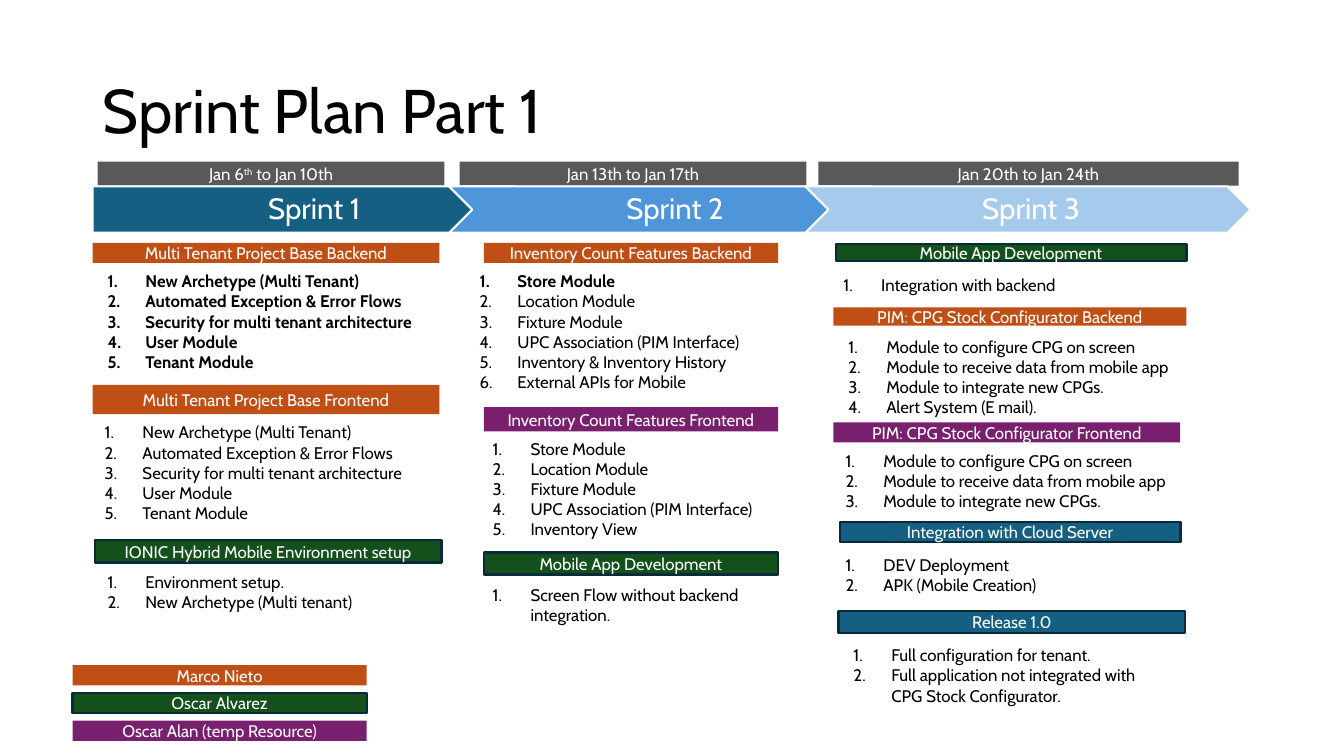
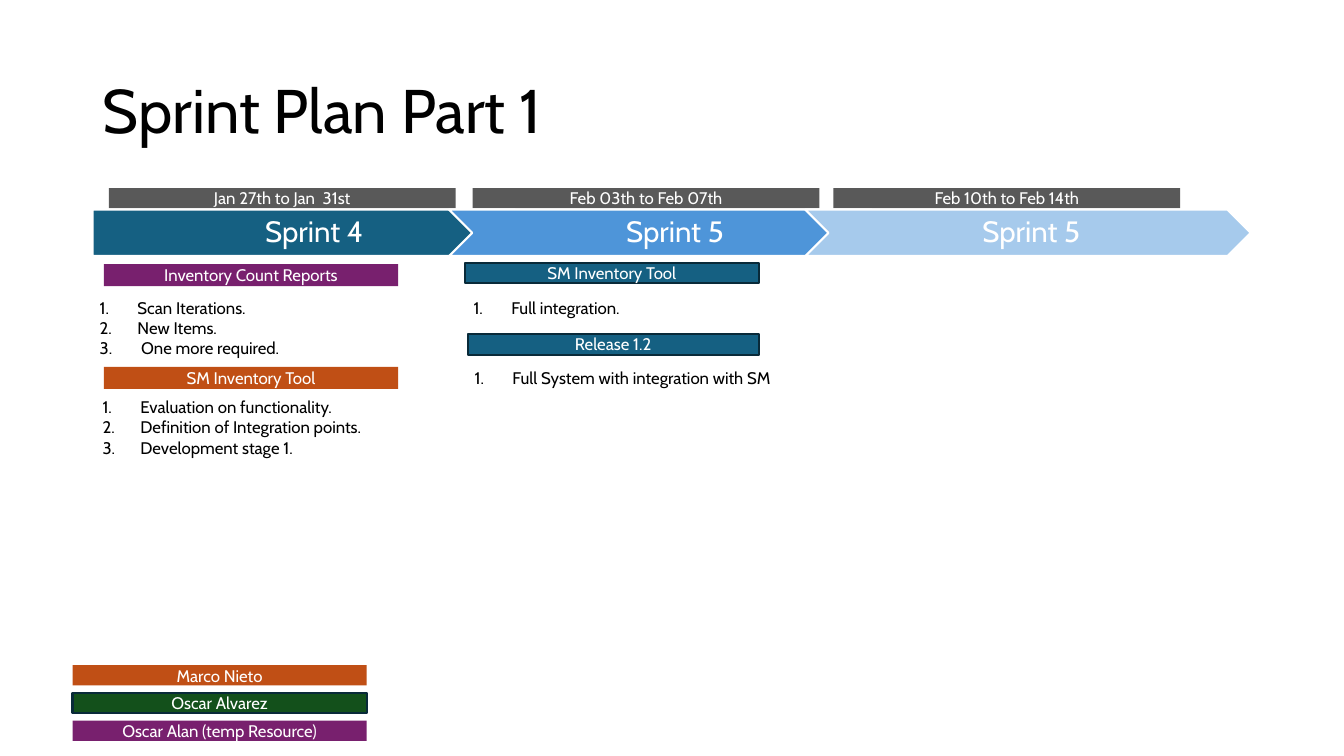
from pptx import Presentation
from pptx import util as u
from pptx.dml.color import RGBColor
from pptx.enum import shapes, text
from pptx.oxml.ns import qn
from lxml import etree

Pt = u.Pt
BAR, HALF_BAR = 247.7, 210.2  # usual bar widths
WIDE, NARROW = 268, 234.7     # usual list widths


def color(hex_code):
    return RGBColor.from_string(hex_code)


class SprintDeck:
    FONT = "Cabin"
    BLACK, WHITE = "000000", "FFFFFF"
    OUTLINE = "092A39"
    FILLS = {"marco": "C04F15", "oscar": "13501B", "alan": "78206E",
             "team": "156082", "date": "595959"}
    OUTLINED = {"oscar", "team"}
    ARROW_FILLS = ("156082", "4E95D9", "A6CAEC")
    ARROW_LEFT, ARROW_STEP, ARROW_WIDTH, ARROW_HEIGHT = 66.2, 254.5, 318.2, 33.1
    INDENT, LINE = 27, 14.5
    LEGEND = (("marco", "Marco Nieto"), ("oscar", "Oscar Alvarez"),
              ("alan", "Oscar Alan (temp Resource)"))

    def __init__(self):
        self.deck = Presentation()
        self.deck.slide_width, self.deck.slide_height = Pt(960), Pt(540)
        self.page = None

    def new_page(self, title):
        self.page = self.deck.slides.add_slide(self.deck.slide_layouts[5])
        box = self.page.shapes.title
        box.left, box.top, box.width, box.height = Pt(66), Pt(29), Pt(828), Pt(104)
        frame = box.text_frame
        frame.text = title
        frame.auto_size = text.MSO_AUTO_SIZE.NONE
        frame.vertical_anchor = text.MSO_ANCHOR.MIDDLE
        para = frame.paragraphs[0]
        para.alignment, para.line_spacing = text.PP_ALIGN.LEFT, 0.9
        self.style(para, 44, self.BLACK)

    def style(self, para, size, hex_code, bold=False):
        font = para.font
        font.name, font.size, font.bold = self.FONT, Pt(size), bold
        font.color.rgb = color(hex_code)

    def block_shape(self, kind, left, top, width, height, fill, line=None):
        box = self.page.shapes.add_shape(kind, Pt(left), Pt(top), Pt(width), Pt(height))
        box.shadow.inherit = False
        box.fill.solid()
        box.fill.fore_color.rgb = color(fill)
        if line:
            box.line.color.rgb = color(line)
            box.line.width = Pt(1.5)
        else:
            box.line.fill.background()
        return box

    def bar(self, kind, spans, left, top, width, height):
        """Add a labelled bar; spans is a string, or parts whose every second one is raised."""
        box = self.block_shape(shapes.MSO_SHAPE.RECTANGLE, left, top, width, height,
                               self.FILLS[kind], self.OUTLINE if kind in self.OUTLINED else None)
        para = box.text_frame.paragraphs[0]
        para.alignment = text.PP_ALIGN.CENTER
        self.style(para, 12, self.WHITE)
        for index, part in enumerate([spans] if isinstance(spans, str) else spans):
            span = para.add_run()
            span.text = part
            if index % 2:
                span._r.get_or_add_rPr().set("baseline", "30000")

    def arrows(self, top, labels):
        for index, label in enumerate(labels):
            kind = shapes.MSO_SHAPE.CHEVRON if index else shapes.MSO_SHAPE.PENTAGON
            box = self.block_shape(kind, self.ARROW_LEFT + index * self.ARROW_STEP, top,
                                   self.ARROW_WIDTH, self.ARROW_HEIGHT,
                                   self.ARROW_FILLS[index], self.WHITE)
            frame = box.text_frame
            frame.margin_left, frame.margin_right = Pt(6.5 if index else 8.5), Pt(2)
            frame.margin_top = frame.margin_bottom = Pt(4)
            frame.text = label
            para = frame.paragraphs[0]
            para.alignment, para.line_spacing = text.PP_ALIGN.CENTER, 0.9
            self.style(para, 21, self.WHITE)

    def numbered_list(self, items, left, top, width, bold_count=0):
        """Add a numbered list whose first bold_count items are bold."""
        height = 7.2 + self.LINE * len(items)
        box = self.page.shapes.add_textbox(Pt(left), Pt(top), Pt(width), Pt(height))
        frame = box.text_frame
        frame.word_wrap = True
        frame.auto_size = text.MSO_AUTO_SIZE.SHAPE_TO_FIT_TEXT
        for index, item in enumerate(items):
            para = frame.add_paragraph() if index else frame.paragraphs[0]
            para.text = item
            props = para._p.get_or_add_pPr()
            props.set("marL", str(Pt(self.INDENT)))
            props.set("indent", str(-Pt(self.INDENT)))
            etree.SubElement(props, qn("a:buAutoNum")).set("type", "arabicPeriod")
            self.style(para, 12, self.BLACK, index < bold_count)

    def legend(self):
        for index, (owner, name) in enumerate(self.LEGEND):
            self.bar(owner, name, 51.8, 475.2 + index * 19.8, HALF_BAR, 14.4)

    def sprint_page(self, plan):
        self.new_page("Sprint Plan Part 1")
        for label, left, width in plan["dates"]:
            self.bar("date", label, left, plan["date_top"], width, plan["date_height"])
        self.arrows(plan["arrow_top"], plan["sprints"])
        for owner, heading, bar_place, items, list_place in plan["blocks"]:
            self.bar(owner, heading, *bar_place)
            self.numbered_list(items, *list_place)
        self.legend()


BASE_MODULES = ("New Archetype (Multi Tenant)", "Automated Exception & Error Flows",
                "Security for multi tenant architecture", "User Module", "Tenant Module")
COUNT_MODULES = ("Store Module", "Location Module", "Fixture Module",
                 "UPC Association (PIM Interface)")
CPG_MODULES = ("Module to configure CPG on screen", "Module to receive data from mobile app",
               "Module to integrate new CPGs.")

# Block: owner, heading, bar (left, top, width, height), items,
# list (left, top, width, number of bold items)
PLANS = (
    {
        "date_top": 115.4, "date_height": 17.3, "arrow_top": 133.2,
        "dates": ((("Jan 6", "th", " to Jan 10th"), 69.8, BAR),
                  ("Jan 13th to Jan 17th", 328.3, BAR),
                  ("Jan 20th to Jan 24th", 584.6, 300.2)),
        "sprints": ("Sprint 1", "Sprint 2", "Sprint 3"),
        "blocks": (
            ("marco", "Multi Tenant Project Base Backend", (66.2, 173.5, BAR, 14.4),
             BASE_MODULES, (69.8, 190, WIDE, 5)),
            ("marco", "Multi Tenant Project Base Frontend", (66.2, 275, BAR, 20.9),
             BASE_MODULES, (67.7, 298, WIDE)),
            ("oscar", "IONIC Hybrid Mobile Environment setup", (67.7, 386, BAR, 15.8),
             ("Environment setup.", "New Archetype (Multi tenant)"), (69.8, 404.6, 244)),
            ("marco", "Inventory Count Features Backend", (345.6, 173.5, HALF_BAR, 14.4),
             COUNT_MODULES + ("Inventory & Inventory History", "External APIs for Mobile"),
             (335.5, 190, NARROW, 1)),
            ("alan", "Inventory Count Features Frontend", (345.6, 290.9, HALF_BAR, 17.3),
             COUNT_MODULES + ("Inventory View",), (344.9, 309.6, NARROW)),
            ("oscar", "Mobile App Development", (345.6, 394.6, HALF_BAR, 15.8),
             ("Screen Flow without backend integration.",), (344.9, 414, NARROW)),
            ("oscar", "Mobile App Development", (596.9, 174.2, 250.6, 12.2),
             ("Integration with backend",), (595.4, 193, NARROW)),
            ("marco", "PIM: CPG Stock Configurator Backend", (595.4, 219.6, 252, 13),
             CPG_MODULES + ("Alert System (E mail).",), (599, 236.9, WIDE)),
            ("alan", "PIM: CPG Stock Configurator Frontend", (595.4, 301.7, BAR, 14.4),
             CPG_MODULES, (596.9, 318.2, WIDE)),
            ("team", "Integration with Cloud Server", (599.8, 373, 243.4, 14.4),
             ("DEV Deployment", "APK (Mobile Creation)"), (596.9, 392.4, NARROW)),
            ("team", "Release 1.0", (599, 436.3, BAR, 15.8),
             ("Full configuration for tenant.",
              "Full application not integrated with CPG Stock Configurator."),
             (602.6, 457.2, NARROW)),
        ),
    },
    {
        "date_top": 134.4, "date_height": 14.4, "arrow_top": 149.8,
        "dates": (("Jan 27th to Jan  31st", 77.8, BAR),
                  ("Feb 03th to Feb 07th", 337.7, BAR),
                  ("Feb 10th to Feb 14th", 595.4, BAR)),
        "sprints": ("Sprint 4", "Sprint 5", "Sprint 5"),
        "blocks": (
            ("alan", "Inventory Count Reports", (74.2, 188.6, HALF_BAR, 15.8),
             ("Scan Iterations.", "New Items.", " One more required."),
             (64.1, 208.8, NARROW)),
            ("marco", "SM Inventory Tool", (74.2, 262.1, HALF_BAR, 15.8),
             ("Evaluation on functionality.", "Definition of Integration points.",
              "Development stage 1."), (66.2, 280, NARROW)),
            ("team", "SM Inventory Tool", (331.9, 188, HALF_BAR, 14.4),
             ("Full integration.",), (331.2, 208.8, NARROW)),
            ("team", "Release 1.2", (334, 238.3, 208, 15.1),
             ("Full System with integration with SM",), (332, 259.2, NARROW)),
        ),
    },
)


def main():
    sprints = SprintDeck()
    for plan in PLANS:
        sprints.sprint_page(plan)
    sprints.deck.save("out.pptx")


if __name__ == "__main__":
    main()
